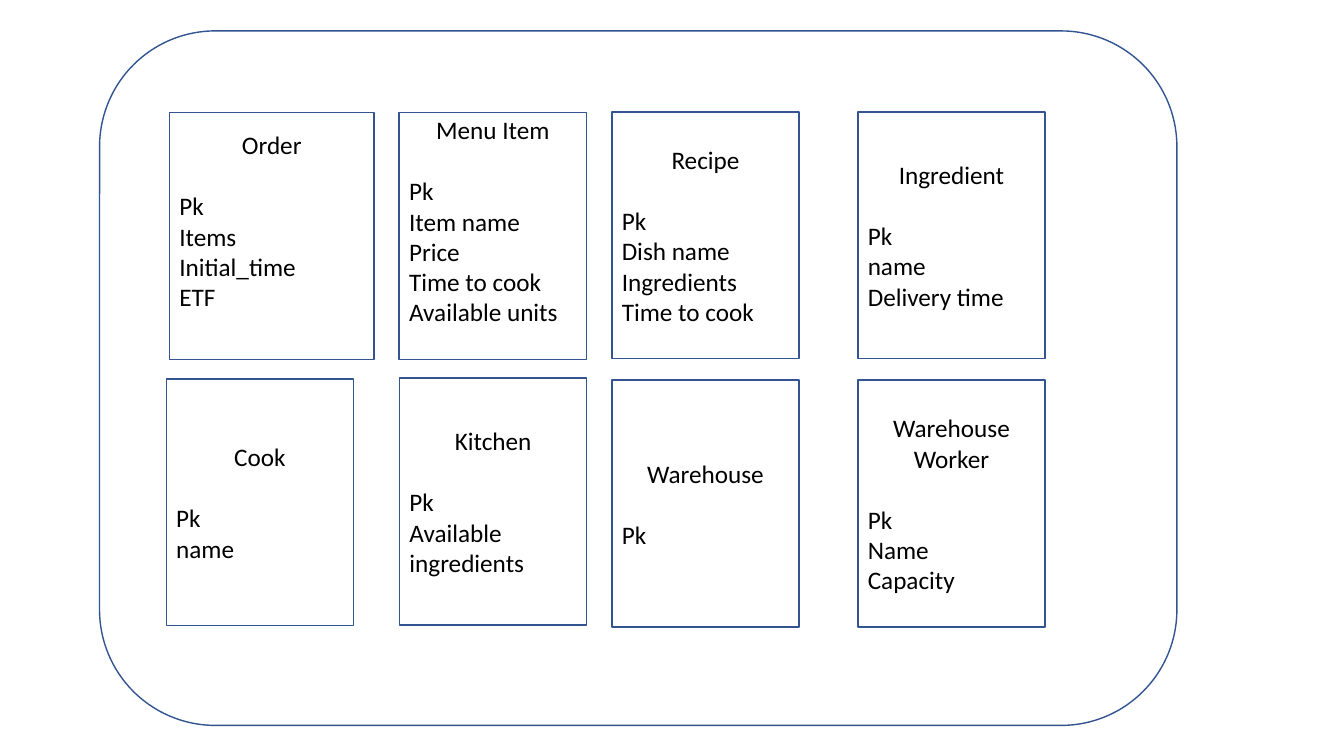
from dataclasses import dataclass

from pptx import Presentation
from pptx.dml.color import RGBColor
from pptx.enum.shapes import MSO_SHAPE as Preset
from pptx.enum.text import MSO_ANCHOR as Anchor, PP_ALIGN as Align
from pptx.shapes.autoshape import Shape
from pptx.slide import Slide
from pptx.util import Cm, Pt

COLORS = {"outline": "325491", "text": "000000"}
FONT = "Calibri"
FONT_SIZE = Pt(18)
TEXT_LINE = Pt(22)
CARD_WIDTH = 4.72
CARD_HEIGHT = 6.22


@dataclass(frozen=True)
class Entity:
    name: str
    fields: tuple[str, ...]
    left: float
    top: float
    width: float = CARD_WIDTH
    raised: bool = False


ENTITIES = (
    Entity("Order", ("Pk", "Items", "Initial_time", "ETF"),
           4.27, 2.84, width=5.16, raised=True),
    Entity("Menu Item",
           ("Pk", "Item name", "Price", "Time to cook", "Available units"),
           10.06, 2.84, raised=True),
    Entity("Recipe", ("Pk", "Dish name", "Ingredients", "Time to cook"), 15.42, 2.82),
    Entity("Ingredient", ("Pk", "name", "Delivery time"), 21.62, 2.82),
    Entity("Cook", ("Pk", "name"), 4.19, 9.55),
    Entity("Kitchen", ("Pk", "Available ingredients"), 10.07, 9.53),
    Entity("Warehouse", ("Pk",), 15.42, 9.58),
    Entity("Warehouse Worker", ("Pk", "Name", "Capacity"), 21.62, 9.58),
)


def add_outline(slide: Slide, preset: Preset, left: float, top: float,
                width: float, height: float) -> Shape:
    """Add an unfilled shape, measured in centimetres."""
    outline = slide.shapes.add_shape(preset, Cm(left), Cm(top), Cm(width), Cm(height))
    outline.shadow.inherit = False
    outline.fill.background()
    outline.line.color.rgb = RGBColor.from_string(COLORS["outline"])
    outline.line.width = Pt(1)
    return outline


def add_entity(slide: Slide, entity: Entity) -> None:
    """Add a card with a centred name above its fields.

    A raised entity keeps one line of space free below its fields.
    """
    card = add_outline(slide, Preset.RECTANGLE, entity.left, entity.top,
                       entity.width, CARD_HEIGHT)
    frame = card.text_frame
    frame.word_wrap = True
    frame.vertical_anchor = Anchor.MIDDLE
    if entity.raised:
        frame.margin_bottom += TEXT_LINE
    frame.text = "\n".join((entity.name, *entity.fields))
    for paragraph in frame.paragraphs:
        paragraph.alignment = Align.LEFT
        paragraph.font.name = FONT
        paragraph.font.size = FONT_SIZE
        paragraph.font.color.rgb = RGBColor.from_string(COLORS["text"])
    heading = frame.paragraphs[0]
    heading.alignment = Align.CENTER
    heading.space_after = TEXT_LINE


def main() -> None:
    deck = Presentation()
    deck.slide_width, deck.slide_height = Cm(33.87), Cm(19.05)
    slide = deck.slides.add_slide(deck.slide_layouts[6])
    add_outline(slide, Preset.ROUNDED_RECTANGLE, 2.51, 0.78, 27.15, 17.5)
    for entity in ENTITIES:
        add_entity(slide, entity)
    deck.save("out.pptx")


if __name__ == "__main__":
    main()
